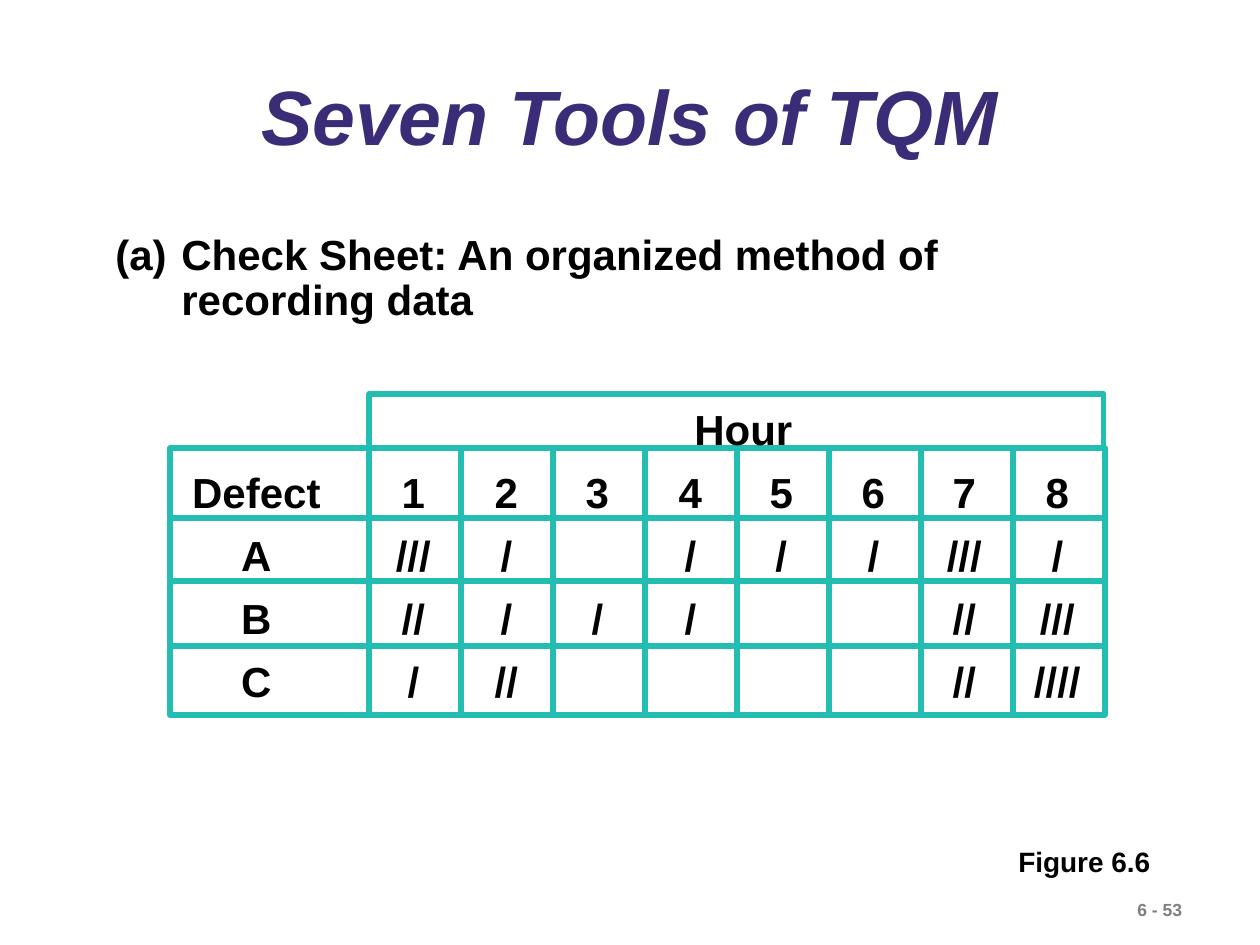
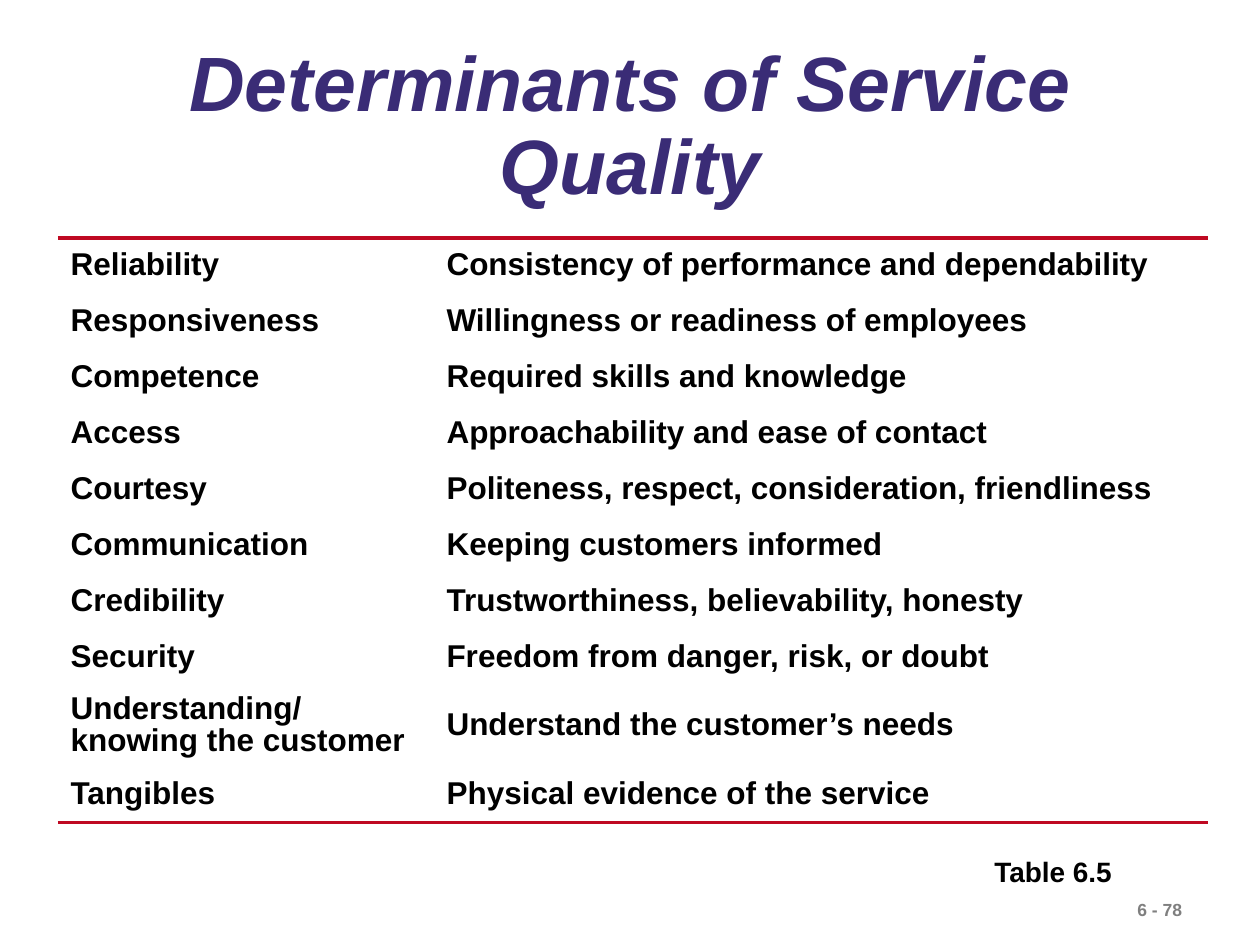
"""Build two quality-management slides: a check sheet and a table of service determinants."""
from lxml import etree
from pptx import Presentation
from pptx import util as u
from pptx.dml import color
from pptx.enum import shapes, text
from pptx.oxml import ns

PX = 914400 // 126
INDIGO, TEAL, RED, GREY, BLACK = "3A2C76", "24BDB2", "BF0922", "7F7F7F", "000000"
LEFT, CENTER = text.PP_ALIGN.LEFT, text.PP_ALIGN.CENTER


def rgb(hue):
    """Turn a hex string into a colour."""
    return color.RGBColor.from_string(hue)


def write(p, string, size, hue=BLACK, align=LEFT, spacing=1.0):
    """Fill and format one paragraph."""
    p.text = string
    p.alignment = align
    p.line_spacing = spacing
    p.font.name = "Arial"
    p.font.size = u.Pt(size)
    p.font.bold = True
    p.font.color.rgb = rgb(hue)


prs = Presentation()
prs.slide_width, prs.slide_height = u.Inches(10), u.Inches(7.5)

pages = [
    ("Seven Tools of TQM", 70, 102, "6 - 53", "Figure 6.6", 1006, 838),
    ("Determinants of Service Quality", 40, 177, "6 - 78", "Table 6.5", 982, 848),
]
slides = []
for title, top, height, number, caption, cap_x, cap_y in pages:
    s = prs.slides.add_slide(prs.slide_layouts[6])
    slides.append(s)
    boxes = [
        (95, top, 1071, height, title, 44, INDIGO, CENTER, 0.9),
        (cap_x, cap_y, 180, 47, caption, 16, BLACK, LEFT, 1.0),
        (1125, 893, 135, 34, number, 10, GREY, LEFT, 1.0),
    ]
    for x, y, w, h, *style in boxes:
        tf = s.shapes.add_textbox(x * PX, y * PX, w * PX, h * PX).text_frame
        tf.word_wrap = True
        p = tf.paragraphs[0]
        write(p, *style)
        if style[0] == title:
            tf.vertical_anchor = text.MSO_ANCHOR.MIDDLE
            p.font.italic = True

check_slide, service_slide = slides

tf = check_slide.shapes.add_textbox(103 * PX, 228 * PX, 852 * PX, 103 * PX).text_frame
tf.word_wrap = True
p = tf.paragraphs[0]
write(p, "(a)\tCheck Sheet: An organized method of recording data", 24, spacing=0.9)
pPr = p._p.get_or_add_pPr()
pPr.set("marL", str(66 * PX))
pPr.set("indent", str(-66 * PX))

for x, y, w, h in [(369, 394, 735, 54), (170, 448, 935, 267)]:
    sp = check_slide.shapes.add_shape(shapes.MSO_SHAPE.RECTANGLE, x * PX, y * PX, w * PX, h * PX)
    sp.shadow.inherit = False
    sp.fill.background()
    sp.line.color.rgb = rgb(TEAL)
    sp.line.width = u.Pt(3)

rules = [(369 + 92 * i, 448, 369 + 92 * i, 715) for i in range(8)]
rules += [(168, y, 1103, y) for y in (518, 581, 646)]
for ends in rules:
    cx = check_slide.shapes.add_connector(shapes.MSO_CONNECTOR.STRAIGHT, *(v * PX for v in ends))
    cx.line.color.rgb = rgb(TEAL)
    cx.line.width = u.Pt(3)
    etree.SubElement(cx._element.spPr, ns.qn("a:effectLst"))

checks = [
    ["Hour"],
    ["Defect", *"12345678"],
    ["A", "///", "/", "", "/", "/", "/", "///", "/"],
    ["B", "//", "/", "/", "/", "", "", "//", "///"],
    ["C", "/", "//", "", "", "", "", "//", "////"],
]
column_tabs = [78, 235, 328, 419, 512, 603, 695, 786, 879]
tf = check_slide.shapes.add_textbox(166 * PX, 385 * PX, 960 * PX, 328 * PX).text_frame
tf.word_wrap = True
for r, row in enumerate(checks):
    p = tf.add_paragraph() if r else tf.paragraphs[0]
    marks = "".join("\t" + mark for mark in row)
    write(p, marks.rstrip("\t"), 24, spacing=u.Pt(36))
    tabs = etree.Element(ns.qn("a:tabLst"))
    for pos in column_tabs if r else [565]:
        etree.SubElement(tabs, ns.qn("a:tab"), pos=str(pos * PX), algn="ctr")
    p._p.pPr.find(ns.qn("a:defRPr")).addprevious(tabs)

determinants = [
    ("Reliability", "Consistency of performance and dependability"),
    ("Responsiveness", "Willingness or readiness of employees"),
    ("Competence", "Required skills and knowledge"),
    ("Access", "Approachability and ease of contact"),
    ("Courtesy", "Politeness, respect, consideration, friendliness"),
    ("Communication", "Keeping customers informed"),
    ("Credibility", "Trustworthiness, believability, honesty"),
    ("Security", "Freedom from danger, risk, or doubt"),
    ("Understanding/ knowing the customer", "Understand the customer’s needs"),
    ("Tangibles", "Physical evidence of the service"),
]
last = len(determinants) - 1
tbl = service_slide.shapes.add_table(last + 1, 2, 58 * PX, 238 * PX, 1150 * PX, 585 * PX).table
tbl.first_row = tbl.horz_banding = False
tbl.columns[0].width, tbl.columns[1].width = 376 * PX, 774 * PX
for r, row in enumerate(determinants):
    tbl.rows[r].height = (81 if row[0].startswith("Understanding") else 56) * PX
    for c, words in enumerate(row):
        cell = tbl.cell(r, c)
        cell.fill.background()
        tcPr = cell._tc.get_or_add_tcPr()
        for i, side in enumerate("LRTB"):
            ln = etree.Element(ns.qn(f"a:ln{side}"), w=str(u.Pt(2.21)))
            if (r, side) in [(0, "T"), (last, "B")]:
                fill = etree.SubElement(ln, ns.qn("a:solidFill"))
                etree.SubElement(fill, ns.qn("a:srgbClr"), val=RED)
            else:
                etree.SubElement(ln, ns.qn("a:noFill"))
            tcPr.insert(i, ln)
        cell.vertical_anchor = text.MSO_ANCHOR.MIDDLE
        p = cell.text_frame.paragraphs[0]
        write(p, words, 18, spacing=0.9)
        p.space_after = u.Pt(9)

prs.save("out.pptx")
